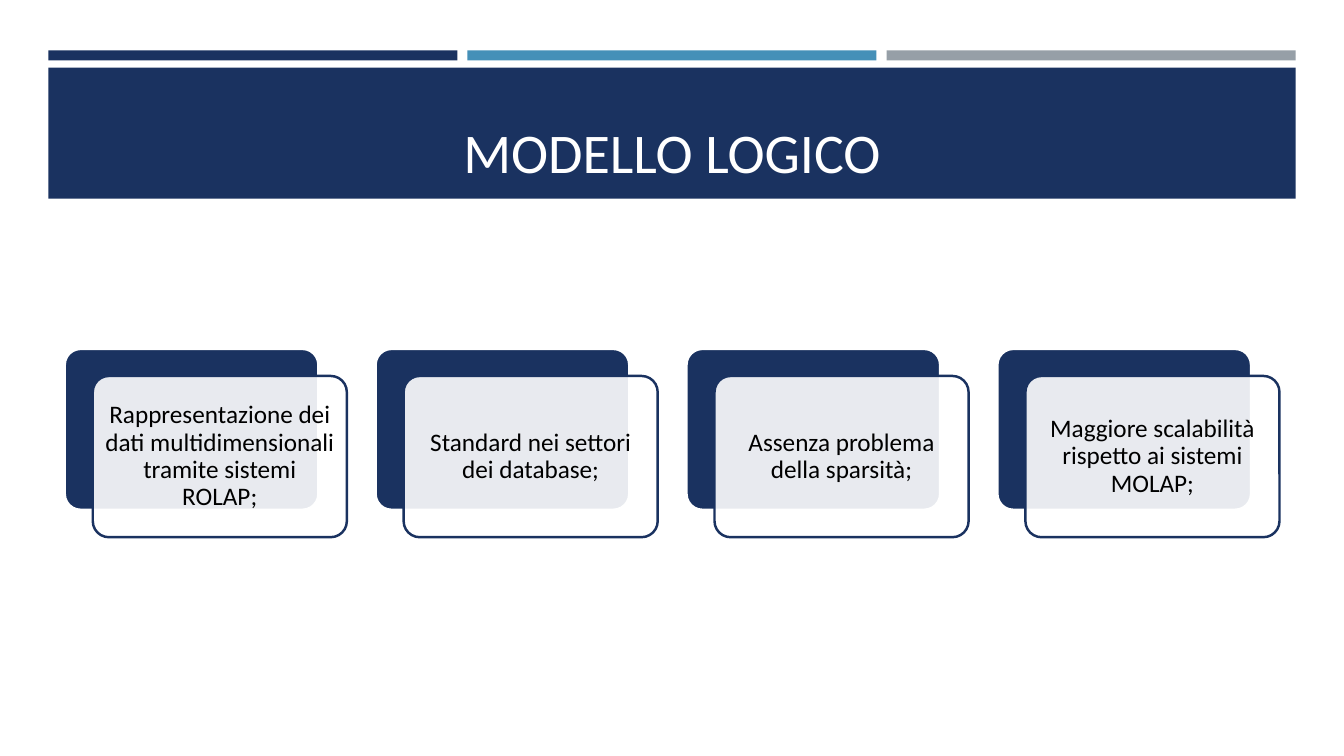
from pptx import Presentation
from pptx.dml.color import RGBColor
from pptx.enum.shapes import MSO_SHAPE as Shape
from pptx.enum.text import MSO_ANCHOR as Anchor, PP_ALIGN as Align
from pptx.oxml.ns import qn
from pptx.util import Inches, Pt
from lxml import etree

NAVY = RGBColor(0x1A, 0x32, 0x60)
BLUE = RGBColor(0x45, 0x90, 0xB8)
GRAY = RGBColor(0x96, 0x9F, 0xA7)
WHITE = RGBColor(0xFF, 0xFF, 0xFF)
BLACK = RGBColor(0, 0, 0)

TITLE = "MODELLO LOGICO"
POINTS = [
    "Rappresentazione dei dati multidimensionali tramite sistemi ROLAP;",
    "Standard nei settori dei database;",
    "Assenza problema della sparsità;",
    "Maggiore scalabilità rispetto ai sistemi MOLAP;",
]


def add_block(slide, kind, box, fill, line=None, width=0):
    block = slide.shapes.add_shape(kind, *map(Inches, box))
    block.shadow.inherit = False
    block.fill.solid()
    block.fill.fore_color.rgb = fill
    if line is None:
        block.line.fill.background()
    else:
        block.line.color.rgb = line
        block.line.width = Pt(width)
    if kind == Shape.ROUNDED_RECTANGLE:
        block.adjustments[0] = 0.1
    return block


def add_label(slide, box, text, size, color, anchor, inset):
    frame = slide.shapes.add_textbox(*map(Inches, box)).text_frame
    frame.word_wrap = True
    frame.vertical_anchor = anchor
    frame.margin_left = frame.margin_right = Inches(inset)
    frame.margin_top = frame.margin_bottom = Inches(inset)
    para = frame.paragraphs[0]
    para.text = text
    para.alignment = Align.CENTER
    para.font.name = "Calibri"
    para.font.size = Pt(size)
    para.font.color.rgb = color
    return para


def set_alpha(shape, percent):
    color = shape.fill._xPr.find(qn("a:solidFill"))[0]
    etree.SubElement(color, qn("a:alpha")).set("val", str(percent * 1000))


def add_header(slide, left, top, width, height):
    gap = 0.1
    bar = (width - 2 * gap) / 3
    for i, color in enumerate((NAVY, BLUE, GRAY)):
        add_block(slide, Shape.RECTANGLE,
                  (left + i * (bar + gap), top, bar, 0.1), color)
    drop = 0.17
    add_block(slide, Shape.RECTANGLE,
              (left, top + drop, width, height - drop), NAVY)
    add_label(slide, (left + 0.15, top + 0.27, width - 0.3, height - 0.36),
              TITLE, 40, WHITE, Anchor.BOTTOM, 0.05)


def add_card(slide, left, top, width, height, text):
    shift, pad = 0.28, 0.045
    wide, high = width - shift, height - shift
    add_block(slide, Shape.ROUNDED_RECTANGLE, (left, top, wide, high),
              NAVY, WHITE, 2)
    left, top = left + shift, top + shift - 0.01
    front = add_block(slide, Shape.ROUNDED_RECTANGLE, (left, top, wide, high),
                      WHITE, NAVY, 1.75)
    set_alpha(front, 90)
    para = add_label(slide, (left + pad, top + pad,
                             wide - 2 * pad, high - 2 * pad),
                     text, 18, BLACK, Anchor.MIDDLE, 0.07)
    para.line_spacing = 0.9


def add_cards(slide, left, top, width, height):
    card = 2.8
    step = (width - card) / (len(POINTS) - 1)
    for i, text in enumerate(POINTS):
        add_card(slide, left + i * step, top, card, height, text)


def main():
    deck = Presentation()
    deck.slide_width, deck.slide_height = Inches(13.33), Inches(7.5)
    slide = deck.slides.add_slide(deck.slide_layouts[6])
    add_header(slide, 0.48, 0.5, 12.37, 1.47)
    add_cards(slide, 0.64, 3.46, 12.05, 1.88)
    deck.save("out.pptx")


if __name__ == "__main__":
    main()
